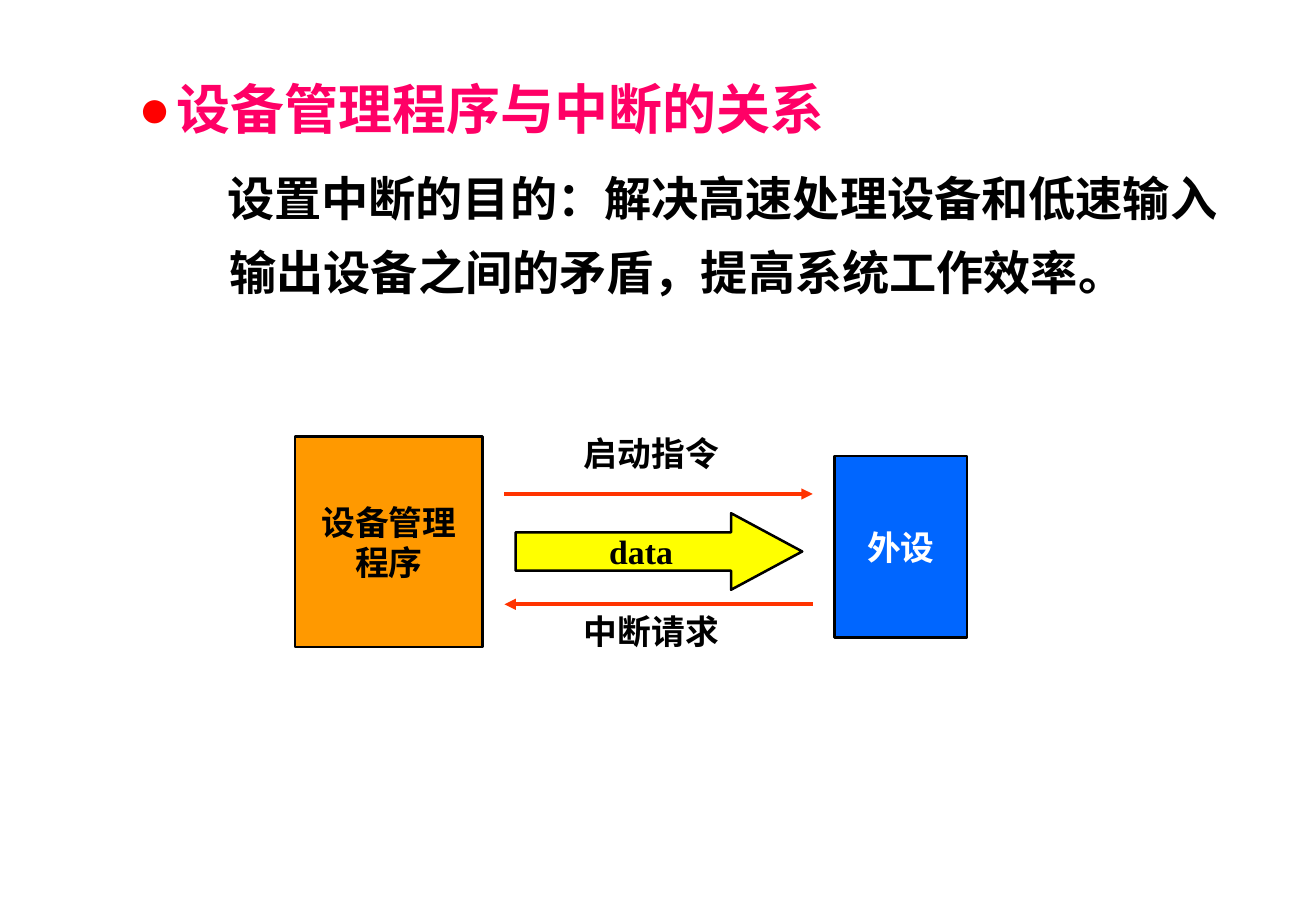
from lxml import etree
from pptx import Presentation
from pptx.dml.color import RGBColor
from pptx.enum.shapes import MSO_CONNECTOR as CONN, MSO_SHAPE as SHAPE
from pptx.enum.text import MSO_ANCHOR as ANCHOR, PP_ALIGN as ALIGN
from pptx.oxml.ns import qn
from pptx.util import Pt

SLIDE_SIZE = (780.48, 540)
COLORS = {"title": "FF0066", "bullet": "FF0000", "black": "000000", "white": "FFFFFF",
          "manager": "FF9900", "device": "0066FF", "data": "FFFF00", "signal": "FF3300"}

TITLE = "设备管理程序与中断的关系"
PURPOSE = "设置中断的目的：解决高速处理设备和低速输入输出设备之间的矛盾，提高系统工作效率。"
BODY_BOX = (39, 41.5, 702, 163.5)

# preset, (left, top, width, height), fill, font colour, lines
BLOCKS = [
    (SHAPE.RECTANGLE, (175, 258.8, 111.2, 124.8), "manager", "black", ["设备管理", "程序"]),
    (SHAPE.RECTANGLE, (495, 270.3, 78.5, 107.5), "device", "white", ["外设"]),
    (SHAPE.RIGHT_ARROW, (305.8, 304.2, 170, 45.4), "data", "black", ["data"]),
]
# y of the line, arrowhead element, label, top of the label
SIGNAL_X = (299.2, 482)
SIGNALS = [
    (292.8, "a:tailEnd", "启动指令", 253),
    (358.2, "a:headEnd", "中断请求", 358.2),
]
LABEL_LEFT, LABEL_SIZE = 339.2, (94.3, 31.7)


def rgb(name):
    return RGBColor.from_string(COLORS[name])


def add_sub(parent, tag, **attrs):
    return etree.SubElement(parent, qn(tag), attrs)


def set_indent(p, left, first):
    pPr = p._p.get_or_add_pPr()
    pPr.set("marL", str(Pt(left)))
    pPr.set("indent", str(Pt(first)))
    return pPr


def style(p, size, color, font):
    for r in p.runs:
        r.font.size, r.font.bold, r.font.name = Pt(size), True, font
        r.font.color.rgb = rgb(color)


def fill_text(sp, lines, color):
    tf = sp.text_frame
    tf.word_wrap = False
    tf.text = "\n".join(lines)
    for p in tf.paragraphs:
        p.alignment = ALIGN.CENTER
        style(p, 20, color, "Times New Roman")


def add_body(s):
    tf = s.shapes.add_textbox(*map(Pt, BODY_BOX)).text_frame
    tf.word_wrap = True
    tf.text = f"{TITLE}\n{PURPOSE}"
    title, purpose = tf.paragraphs

    pPr = set_indent(title, 58.5, -22.5)
    add_sub(add_sub(pPr, "a:buClr"), "a:srgbClr", val=COLORS["bullet"])
    add_sub(pPr, "a:buFont", typeface="Arial")
    add_sub(pPr, "a:buChar", char="●")
    style(title, 32, "title", "Arial")

    set_indent(purpose, 90, -1.3)
    purpose.line_spacing = 1.3
    purpose.space_before = Pt(7)
    style(purpose, 28, "black", "Arial")


def add_block(s, preset, box, fill, color, lines):
    sp = s.shapes.add_shape(preset, *map(Pt, box))
    sp.shadow.inherit = False
    sp.fill.solid()
    sp.fill.fore_color.rgb = rgb(fill)
    sp.line.color.rgb = rgb("black")
    sp.line.width = Pt(1.5)
    if preset == SHAPE.RIGHT_ARROW:
        sp.adjustments[0], sp.adjustments[1] = 0.5, 0.93
    sp.text_frame.vertical_anchor = ANCHOR.MIDDLE
    fill_text(sp, lines, color)


def add_signal(s, y, head, label, label_top):
    x1, x2 = SIGNAL_X
    line = s.shapes.add_connector(CONN.STRAIGHT, Pt(x1), Pt(y), Pt(x2), Pt(y))
    line.line.color.rgb = rgb("signal")
    line.line.width = Pt(2.25)
    spPr = line._element.spPr
    add_sub(spPr.find(qn("a:ln")), head, type="triangle")
    add_sub(spPr, "a:effectLst")
    box = s.shapes.add_textbox(*map(Pt, (LABEL_LEFT, label_top, *LABEL_SIZE)))
    fill_text(box, [label], "black")


def main():
    prs = Presentation()
    prs.slide_width, prs.slide_height = map(Pt, SLIDE_SIZE)
    s = prs.slides.add_slide(prs.slide_layouts[6])
    add_body(s)
    for block in BLOCKS:
        add_block(s, *block)
    for signal in SIGNALS:
        add_signal(s, *signal)
    prs.save("out.pptx")


if __name__ == "__main__":
    main()
